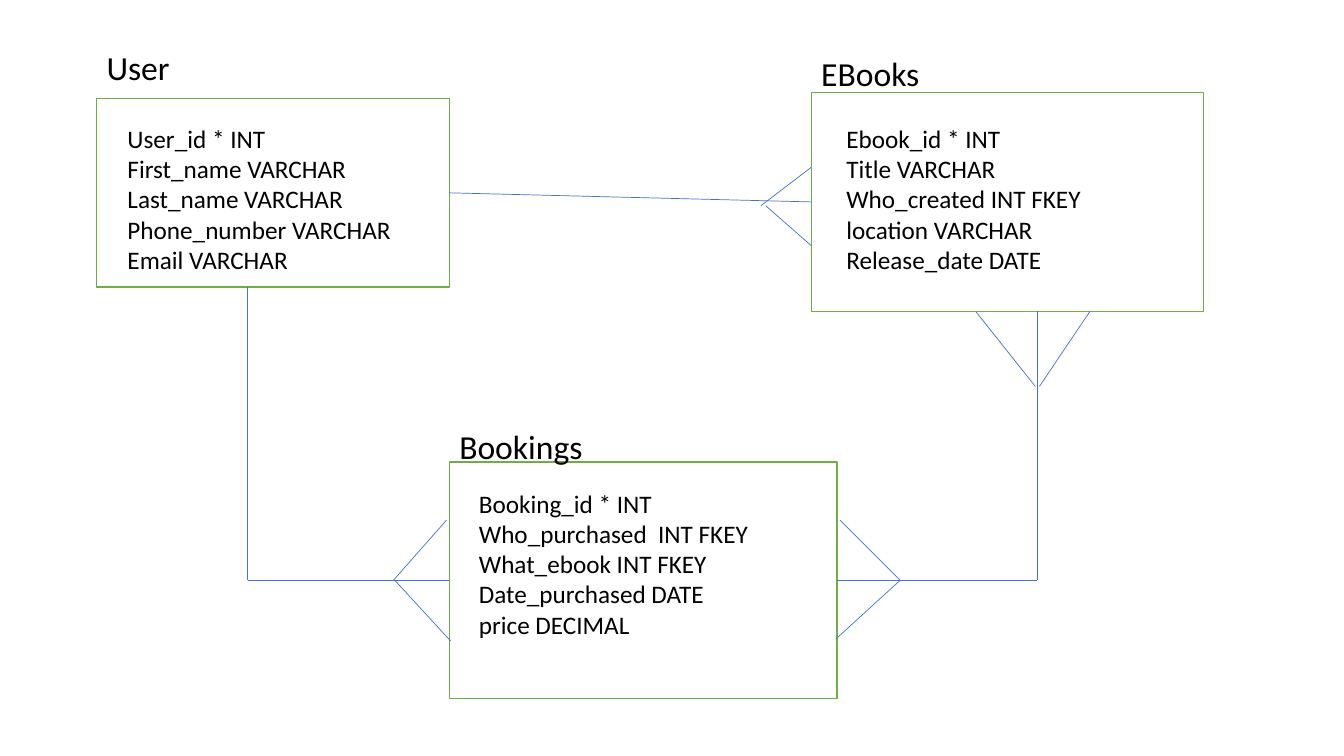
"""Build a slide with an entity diagram of users, e-books and bookings."""
from lxml.etree import SubElement
from pptx import Presentation
from pptx.dml.color import RGBColor
from pptx.enum.shapes import MSO_CONNECTOR, MSO_SHAPE
from pptx.enum.text import MSO_AUTO_SIZE
from pptx.oxml.ns import qn
from pptx.util import Pt

PX = 6350
FONT = "Calibri"
COLOURS = {"paper": "FFFFFF", "text": "000000", "border": "70AD47", "link": "4472C4"}
RIGHT, LEFT = 3, 1

ENTITIES = {
    "User": {
        "frame": (138, 141, 504, 269),
        "heading": (138, 60, 468, 73),
        "list": (168, 169, 438, 277),
        "fields": ["User_id * INT", "First_name VARCHAR", "Last_name VARCHAR",
                   "Phone_number VARCHAR", "Email VARCHAR"],
    },
    "EBooks": {
        "frame": (1159, 132, 560, 313),
        "heading": (1159, 69, 468, 73),
        "list": (1195, 169, 438, 277),
        "fields": ["Ebook_id * INT", "Title VARCHAR", "Who_created INT FKEY",
                   "location VARCHAR", "Release_date DATE"],
    },
    "Bookings": {
        "frame": (642, 660, 554, 338),
        "heading": (642, 601, 228, 73),
        "list": (670, 690, 438, 277),
        "fields": ["Booking_id * INT", "Who_purchased  INT FKEY", "What_ebook INT FKEY",
                   "Date_purchased DATE", "price DECIMAL"],
    },
}

CROW_FEET = [
    (1485, 552, 1557, 445), (1479, 552, 1394, 445),
    (1087, 294, 1159, 239), (1094, 294, 1159, 351),
    (644, 916, 564, 829), (638, 743, 562, 829),
    (1286, 829, 1200, 743), (1286, 829, 1194, 913),
]


def colour(name):
    return RGBColor.from_string(COLOURS[name])


def scaled(lengths):
    return [length * PX for length in lengths]


def add_frame(page, place):
    box = page.shapes.add_shape(MSO_SHAPE.RECTANGLE, *scaled(place))
    box.shadow.inherit = False
    box.fill.solid()
    box.fill.fore_color.rgb = colour("paper")
    box.line.color.rgb = colour("border")
    box.line.width = Pt(1)
    return box


def add_text(page, place, lines, size):
    frame = page.shapes.add_textbox(*scaled(place)).text_frame
    frame.word_wrap = True
    frame.auto_size = MSO_AUTO_SIZE.SHAPE_TO_FIT_TEXT
    frame.text = "\n".join(lines)
    for para in frame.paragraphs:
        para.font.name = FONT
        para.font.size = Pt(size)
        para.font.color.rgb = colour("text")


def add_entity(page, name, entity):
    box = add_frame(page, entity["frame"])
    add_text(page, entity["heading"], [name], 24)
    add_text(page, entity["list"], entity["fields"], 18)
    return box


def add_link(page, ends, start=None, finish=None):
    link = page.shapes.add_connector(MSO_CONNECTOR.STRAIGHT, *scaled(ends))
    link.line.color.rgb = colour("link")
    link.line.width = Pt(0.5)
    SubElement(link.element.spPr, qn("a:effectLst"))
    if start:
        link.begin_connect(*start)
    if finish:
        link.end_connect(*finish)


def main():
    deck = Presentation()
    deck.slide_width, deck.slide_height = scaled((1920, 1080))
    page = deck.slides.add_slide(deck.slide_layouts[6])

    boxes = {name: add_entity(page, name, entity) for name, entity in ENTITIES.items()}
    user, ebooks, bookings = boxes["User"], boxes["EBooks"], boxes["Bookings"]

    add_link(page, (642, 275, 1159, 288), (user, RIGHT), (ebooks, LEFT))
    add_link(page, (1196, 829, 1482, 829), start=(bookings, RIGHT))
    add_link(page, (1482, 829, 1482, 445))
    add_link(page, (354, 829, 642, 829), finish=(bookings, LEFT))
    add_link(page, (354, 829, 354, 410))
    for ends in CROW_FEET:
        add_link(page, ends)

    deck.save("out.pptx")


if __name__ == "__main__":
    main()
